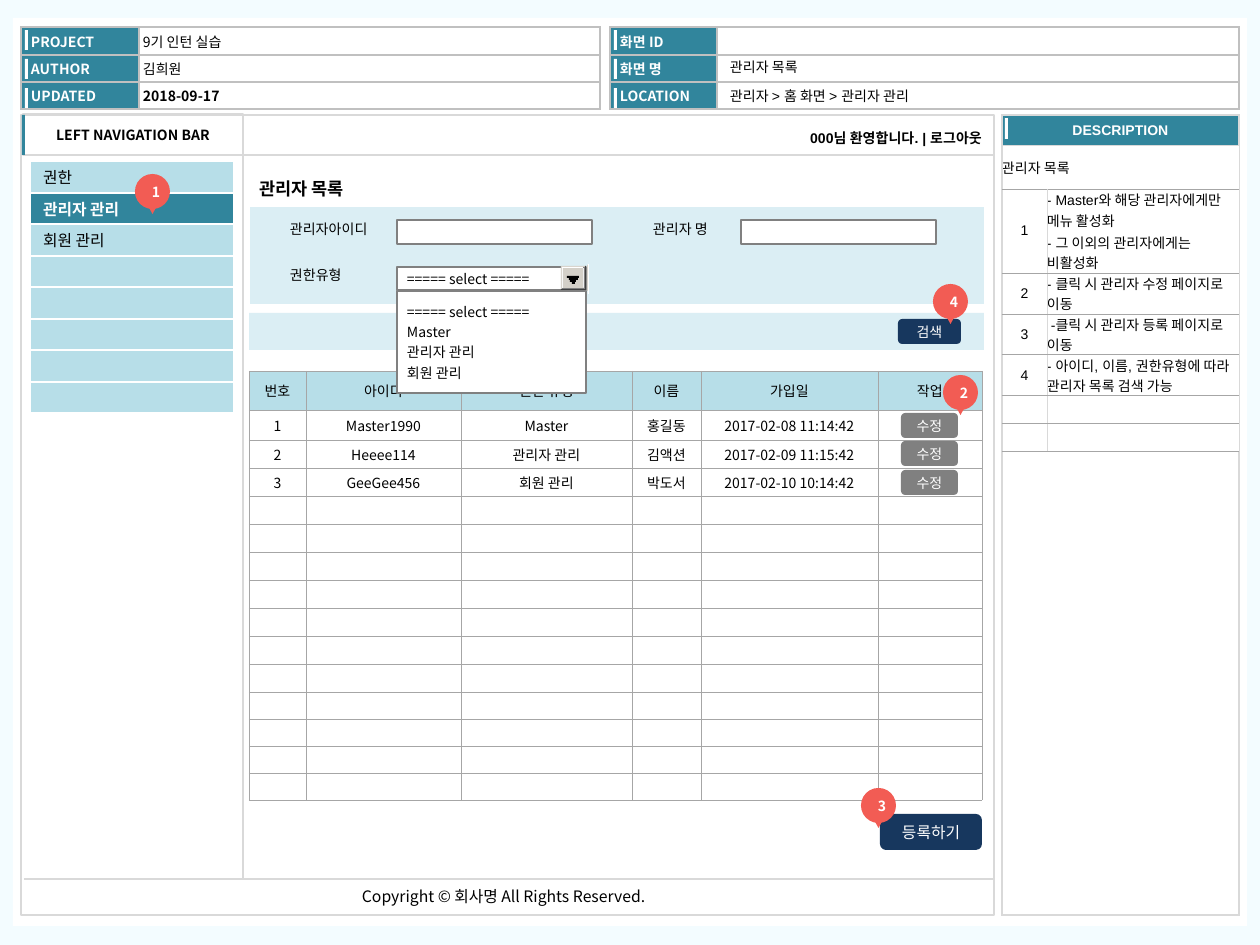
from dataclasses import dataclass

from lxml.etree import SubElement
from pptx import Presentation
from pptx.dml.color import RGBColor
from pptx.enum.shapes import MSO_CONNECTOR, MSO_SHAPE
from pptx.enum.text import MSO_ANCHOR, PP_ALIGN
from pptx.oxml.ns import qn
from pptx.slide import Slide
from pptx.util import Pt

PX = 914400 / 126
BLACK = RGBColor(0x00, 0x00, 0x00)
WHITE = RGBColor(0xFF, 0xFF, 0xFF)
PAGE = RGBColor(0xF3, 0xFC, 0xFF)
TEAL = RGBColor(0x31, 0x85, 0x9C)
SKY = RGBColor(0xB7, 0xDE, 0xE8)
PALE = RGBColor(0xDB, 0xEE, 0xF4)
NAVY = RGBColor(0x17, 0x37, 0x5E)
CORAL = RGBColor(0xF2, 0x5C, 0x54)
GRAY = RGBColor(0x80, 0x80, 0x80)
DARK = RGBColor(0x40, 0x40, 0x40)
FACE = RGBColor(0xD4, 0xD0, 0xC8)
SILVER = RGBColor(0xC0, 0xC0, 0xC0)
RULE = RGBColor(0xA6, 0xA6, 0xA6)
FRAME = RGBColor(0xD9, 0xD9, 0xD9)
NOTO = "Noto Sans CJK KR"
ARIAL = "Arial"
LEFT, CENTER, RIGHT = PP_ALIGN.LEFT, PP_ALIGN.CENTER, PP_ALIGN.RIGHT
RECTANGLE, ROUNDED = MSO_SHAPE.RECTANGLE, MSO_SHAPE.ROUNDED_RECTANGLE


def px(*lengths):
    return [round(length * PX) for length in lengths]


@dataclass
class Wireframe:
    slide: Slide
    font: str = NOTO
    size: int = 8

    def set_text(self, frame, text, color=BLACK, size=None, bold=False, align=LEFT,
                 font=None, space=0):
        frame.text = text
        for paragraph in frame.paragraphs:
            paragraph.alignment = align
            paragraph.space_before = Pt(space)
            for run in paragraph.runs:
                run.font.size = Pt(size or self.size)
                run.font.bold = bold
                run.font.name = font or self.font
                run.font.color.rgb = color
                SubElement(run.font._element, qn("a:ea"), typeface=NOTO)

    def inset(self, target, horizontal, vertical):
        target.margin_left, target.margin_right = px(horizontal, horizontal)
        target.margin_top, target.margin_bottom = px(vertical, vertical)

    def shape(self, box, fill=None, line=None, kind=RECTANGLE, text="", inset=0,
              parent=None, **style):
        shape = (parent or self.slide).shapes.add_shape(kind, *px(*box))
        shape.shadow.inherit = False
        if fill is None:
            shape.fill.background()
        else:
            shape.fill.solid()
            shape.fill.fore_color.rgb = fill
        if line is None:
            shape.line.fill.background()
        else:
            shape.line.color.rgb = line
            shape.line.width = Pt(0.75)
        if text:
            frame = shape.text_frame
            self.inset(frame, inset, 0)
            frame.vertical_anchor = MSO_ANCHOR.MIDDLE
            self.set_text(frame, text, **style)
        return shape

    def text(self, box, text, wrap=False, inset=(13, 6), **style):
        frame = self.slide.shapes.add_textbox(*px(*box)).text_frame
        frame.word_wrap = wrap
        self.inset(frame, *inset)
        self.set_text(frame, text, **style)

    def title(self, box, text):
        title = self.slide.shapes.title
        title.left, title.top, title.width, title.height = px(*box)
        frame = title.text_frame
        frame.word_wrap = False
        frame.vertical_anchor = MSO_ANCHOR.MIDDLE
        self.set_text(frame, text, size=10, bold=True)
        title.element.getparent().append(title.element)

    def line(self, start, end, color=FRAME, width=1):
        line = self.slide.shapes.add_connector(MSO_CONNECTOR.STRAIGHT, *px(*start, *end))
        line.line.color.rgb = color
        line.line.width = Pt(width)
        SubElement(line.element.spPr, qn("a:effectLst"))

    def marker(self, left, top, number):
        group = self.slide.shapes.add_group_shape()
        circle = self.shape((left, top, 35, 35), CORAL, kind=MSO_SHAPE.OVAL, text=number,
                            parent=group, color=WHITE, bold=True, align=CENTER)
        circle.text_frame.margin_left = px(7)[0]
        tail = self.shape((left + 12, top + 30, 11, 10), CORAL,
                          kind=MSO_SHAPE.ISOSCELES_TRIANGLE, parent=group)
        tail.rotation = 180

    def table(self, left, top, columns, rows):
        box = px(left, top, sum(columns), sum(rows))
        table = self.slide.shapes.add_table(len(rows), len(columns), *box).table
        table.first_row = table.horz_banding = False
        for column, width in zip(table.columns, px(*columns)):
            column.width = width
        for row, height in zip(table.rows, px(*rows)):
            row.height = height
        return table

    def cell(self, cell, text="", fill=None, borders=(SILVER,) * 4, width=1,
             inset=0, **style):
        properties = cell._tc.get_or_add_tcPr()
        for side, color in zip("LRTB", borders):
            border = SubElement(properties, qn(f"a:ln{side}"), w=str(Pt(width)))
            SubElement(SubElement(border, qn("a:solidFill")), qn("a:srgbClr"), val=str(color))
        if fill is None:
            cell.fill.background()
        else:
            cell.fill.solid()
            cell.fill.fore_color.rgb = fill
        self.inset(cell, inset, 0)
        cell.vertical_anchor = MSO_ANCHOR.MIDDLE
        if text:
            self.set_text(cell.text_frame, text, **style)
        else:
            SubElement(cell.text_frame.paragraphs[0]._p, qn("a:endParaRPr"), sz="800")


def draw_header(wireframe):
    blocks = [
        (21, (118, 461), ["PROJECT", "AUTHOR", "UPDATED"], ["9기 인턴 실습", "김희원", "2018-09-17"]),
        (610, (107, 522), ["화면 ID", "화면 명", "LOCATION"], ["", "", ""]),
    ]
    for left, columns, labels, values in blocks:
        table = wireframe.table(left, 27, columns, [28, 27, 27])
        for row, (label, value) in enumerate(zip(labels, values)):
            wireframe.cell(table.cell(row, 0), label, TEAL, inset=10, color=WHITE, bold=True)
            wireframe.cell(table.cell(row, 1), value, WHITE, inset=4, bold=label == "UPDATED")
            wireframe.shape((left + 4, 30 + 29 * row, 3, 20), WHITE)
    for top, text in [(54, "관리자 목록"), (83, "관리자 > 홈 화면 > 관리자 관리")]:
        wireframe.text((720, top, 365, 25), text, True, (10, 5), font=ARIAL)


def draw_description(wireframe):
    panel = wireframe.table(1002, 115, [237], [31, 769])
    wireframe.cell(panel.cell(0, 0), "DESCRIPTION", TEAL, (FRAME,) * 4,
                   color=WHITE, bold=True, align=CENTER, font=ARIAL)
    wireframe.cell(panel.cell(1, 0), "", WHITE, (FRAME,) * 4)
    wireframe.shape((1005, 118, 3, 21), WHITE)
    notes = [
        ("관리자 목록", ""),
        ("1", "- Master와 해당 관리자에게만 메뉴 활성화\n- 그 이외의 관리자에게는 비활성화"),
        ("2", "- 클릭 시 관리자 수정 페이지로 이동"),
        ("3", " -클릭 시 관리자 등록 페이지로 이동"),
        ("4", "- 아이디, 이름, 권한유형에 따라 관리자 목록 검색 가능"),
        ("", ""),
        ("", ""),
    ]
    table = wireframe.table(1002, 145, [45, 192], [44, 84, 41, 41, 41, 28, 28])
    table.cell(0, 0).merge(table.cell(0, 1))
    for row, note in enumerate(notes):
        for column, text in enumerate(note):
            align = CENTER if row and column == 0 else LEFT
            wireframe.cell(table.cell(row, column), text, WHITE,
                           (FRAME, FRAME, RULE if row else FRAME, RULE),
                           0.5, align=align, font=ARIAL, space=1)


def draw_navigation(wireframe):
    wireframe.line((24, 879), (994, 879))
    wireframe.text((349, 881, 318, 31), "Copyright © 회사명 All Rights Reserved.", size=9)
    wireframe.shape((23, 114, 220, 41), None, FRAME, text="LEFT NAVIGATION BAR",
                    bold=True, align=CENTER)
    wireframe.shape((22, 115, 3, 40), TEAL)
    wireframe.line((243, 115), (243, 879), width=0.75)
    wireframe.line((243, 155), (994, 155))
    wireframe.text((667, 125, 325, 28), "000님 환영합니다. | 로그아웃", True, (10, 5),
                   bold=True, align=RIGHT, font=ARIAL)
    menu = ["권한", "관리자 관리", "회원 관리"] + [""] * 5
    table = wireframe.table(30, 161, [204], [32, 31] * 4)
    for row, text in enumerate(menu):
        active = text == "관리자 관리"
        wireframe.cell(table.cell(row, 0), text, TEAL if active else SKY, (WHITE,) * 4,
                       inset=13, size=9, color=WHITE if active else BLACK, bold=active, space=1)


def draw_board(wireframe):
    rows = [
        ("번호", "아이디", "권한 유형", "이름", "가입일", "작업"),
        ("1", "Master1990", "Master", "홍길동", "2017-02-08 11:14:42", ""),
        ("2", "Heeee114", "관리자 관리", "김액션", "2017-02-09 11:15:42", ""),
        ("3", "GeeGee456", "회원 관리", "박도서", "2017-02-10 10:14:42", ""),
    ] + [("",) * 6] * 11
    heights = [39, 30, 28, 28] + [28] * 7 + [27] * 4
    table = wireframe.table(249, 371, [57, 155, 171, 69, 177, 104], heights)
    for row, values in enumerate(rows):
        for column, text in enumerate(values):
            wireframe.cell(table.cell(row, column), text, None if row else SKY,
                           (RULE,) * 4, 0.25, align=CENTER, space=1 if row else 0)
    for top in (413, 441, 470):
        wireframe.shape((901, top, 57, 25), GRAY, kind=ROUNDED, text="수정",
                        color=WHITE, align=CENTER)
    wireframe.shape((880, 814, 102, 36), NAVY, kind=ROUNDED, text="등록하기",
                    size=9, color=WHITE, align=CENTER)


def draw_search(wireframe):
    wireframe.shape((250, 207, 734, 97), PALE)
    wireframe.shape((249, 313, 735, 37), PALE)
    for left, top, width, label in [(277, 215, 111, "관리자아이디"), (640, 215, 87, "관리자 명"),
                                    (277, 261, 82, "권한유형")]:
        wireframe.text((left, top, width, 30), label)
    for left in (397, 741):
        wireframe.shape((left, 220, 195, 24), WHITE, GRAY)
    wireframe.shape((397, 267, 189, 23), WHITE, GRAY, text="===== select =====", inset=10)
    bevels = [
        (588, 264, 1, 30, WHITE), (587, 265, 1, 26, FACE),
        (585, 266, 1, 24, DARK), (561, 289, 24, 1, DARK),
        (561, 266, 1, 23, FACE), (562, 266, 23, 1, FACE),
        (584, 267, 1, 22, GRAY), (562, 288, 22, 1, GRAY),
        (562, 267, 1, 21, WHITE), (563, 267, 20, 1, WHITE),
        (563, 268, 20, 20, FACE),
    ]
    for *box, color in bevels:
        wireframe.shape(box, color)
    for step in range(4):
        width = 12 - 3 * step
        wireframe.shape((573 - width // 2, 276 + 2 * step, width, 2), BLACK)
    wireframe.shape((397, 291, 189, 102), WHITE, GRAY, inset=10, space=2,
                    text="===== select =====\nMaster\n관리자 관리\n회원 관리")
    wireframe.shape((898, 319, 63, 25), NAVY, kind=ROUNDED, text="검색",
                    color=WHITE, align=CENTER)


def main():
    presentation = Presentation()
    presentation.slide_width, presentation.slide_height = px(1260, 945)
    slide = presentation.slides.add_slide(presentation.slide_layouts[5])
    slide.background.fill.solid()
    slide.background.fill.fore_color.rgb = PAGE
    wireframe = Wireframe(slide)
    wireframe.shape((13, 18, 1234, 908), WHITE)
    draw_header(wireframe)
    wireframe.shape((21, 115, 973, 800), None, FRAME)
    draw_description(wireframe)
    draw_navigation(wireframe)
    wireframe.title((247, 172, 120, 34), "관리자 목록")
    draw_board(wireframe)
    draw_search(wireframe)
    for left, top, number in [(135, 174, "1"), (943, 375, "2"), (861, 788, "3"), (933, 284, "4")]:
        wireframe.marker(left, top, number)
    presentation.save("out.pptx")


if __name__ == "__main__":
    main()
